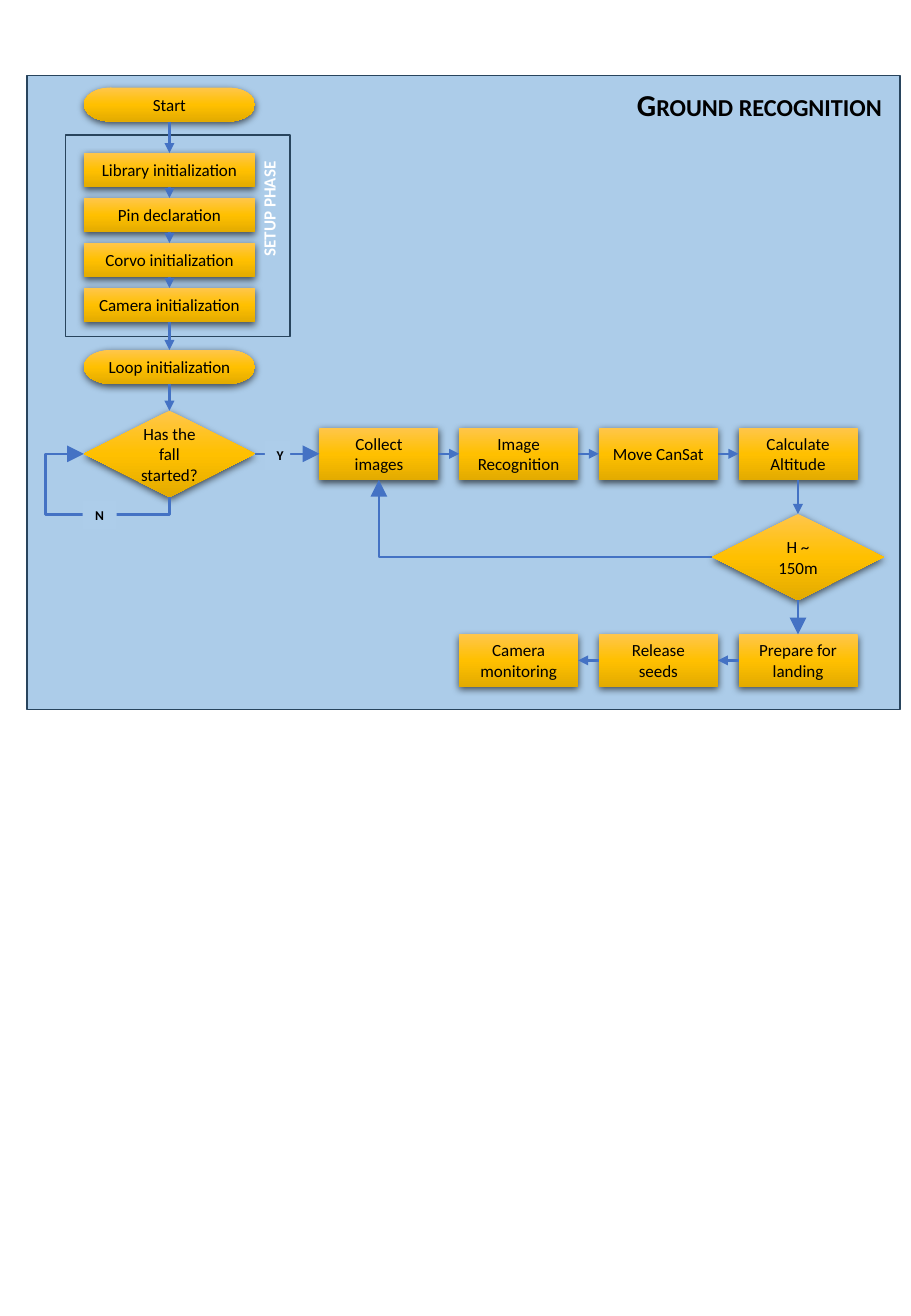
from itertools import pairwise

from lxml.etree import SubElement
from pptx import Presentation
from pptx.dml.color import RGBColor
from pptx.enum.shapes import MSO_CONNECTOR as Link, MSO_SHAPE as Preset
from pptx.enum.text import MSO_ANCHOR as Anchor, MSO_AUTO_SIZE as AutoSize, PP_ALIGN as Align
from pptx.oxml import parse_xml
from pptx.oxml.ns import nsdecls, qn
from pptx.util import Inches, Pt

TOP, LEFT, BOTTOM, RIGHT = range(4)
BLACK, WHITE, FRAME, ARROW, PATCH = "000000", "FFFFFF", "28445D", "4472C4", "ADCDEA"
GOLD = [(0, "FFC64B"), (50, "FFC000"), (100, "E3AB00")]
STEP_W, STEP_H = 1.41, 0.28
CELL_W, CELL_H, PITCH = 0.98, 0.43, 1.15
DECISION_H = 0.71


def color(value):
    return RGBColor.from_string(value)


def add_child(parent, tag, **attributes):
    return SubElement(parent, qn(tag), {name: str(value) for name, value in attributes.items()})


def write(shape, lines, size=10.1, ink=BLACK, bold=False, align=Align.CENTER):
    frame = shape.text_frame
    frame.word_wrap = True
    frame.text = lines
    for para in frame.paragraphs:
        para.alignment = align
        font = para.font
        font.name, font.size, font.bold = "Calibri", Pt(size), bold
        font.color.rgb = color(ink)
    return frame


def add_block(page, preset, box, fill=None, line=None):
    shape = page.shapes.add_shape(preset, *map(Inches, box))
    shape.shadow.inherit = False
    if fill:
        shape.fill.solid()
        shape.fill.fore_color.rgb = color(fill)
    else:
        shape.fill.background()
    if line:
        shape.line.color.rgb = color(line)
        shape.line.width = Pt(1)
    else:
        shape.line.fill.background()
    return shape


def add_node(page, preset, box, lines):
    """Golden flowchart symbol with gradient and soft shadow."""
    node = add_block(page, preset, box)
    props = node._element.spPr
    stops = "".join(
        f'<a:gs pos="{share * 1000}"><a:srgbClr val="{value}"/></a:gs>' for share, value in GOLD
    )
    gradient = parse_xml(
        f'<a:gradFill {nsdecls("a")} rotWithShape="1"><a:gsLst>{stops}</a:gsLst>'
        '<a:lin ang="5400000" scaled="0"/></a:gradFill>'
    )
    props.replace(props.find(qn("a:noFill")), gradient)
    shadow = add_child(props.find(qn("a:effectLst")), "a:outerShdw", blurRad=Pt(4.5),
                       dist=Pt(1.5), dir=5400000, algn="ctr", rotWithShape=0)
    add_child(add_child(shadow, "a:srgbClr", val=BLACK), "a:alpha", val=63000)
    write(node, lines).vertical_anchor = Anchor.MIDDLE
    return node


def connect(page, start, start_side, end, end_side, kind=Link.STRAIGHT, head="med"):
    arrow = page.shapes.add_connector(kind, 0, 0, 0, 0)
    arrow.begin_connect(start, start_side)
    arrow.end_connect(end, end_side)
    arrow.line.color.rgb = color(ARROW)
    arrow.line.width = Pt(1.5)
    props = arrow._element.spPr
    add_child(props.find(qn("a:ln")), "a:tailEnd", type="triangle", w=head, len=head)
    add_child(props, "a:effectLst")
    return arrow


def bend(arrow, preset, *shares):
    """Choose the elbow type and its turning points."""
    geometry = arrow._element.spPr.find(qn("a:prstGeom"))
    geometry.set("prst", preset)
    guides = geometry.get_or_add_avLst()
    for index, share in enumerate(shares, 1):
        add_child(guides, "a:gd", name=f"adj{index}", fmla=f"val {round(share * 100000)}")


def add_answer(page, box, letter):
    patch = add_block(page, Preset.RECTANGLE, box, PATCH)
    frame = write(patch, letter, size=8, bold=True)
    frame.vertical_anchor = Anchor.TOP
    frame.auto_size = AutoSize.SHAPE_TO_FIT_TEXT


def add_panel(page, box):
    left, top, width, height = box
    panel = add_block(page, Preset.RECTANGLE, box, "5B9BD5", FRAME)
    tint = panel._element.spPr.find(qn("a:solidFill"))[0]
    add_child(tint, "a:alpha", val=50000)
    title = page.shapes.add_textbox(*map(Inches, (left + width - 3.18, top + 0.04, 3.13, 0.4)))
    frame = write(title, "Ground recognition", size=18, bold=True, align=Align.RIGHT)
    frame.paragraphs[0].runs[0]._r.get_or_add_rPr().set("cap", "small")


def add_setup(page, box):
    """Start, setup phase and waiting loop; returns the fall decision."""
    left, top, width, height = box
    add_block(page, Preset.FLOWCHART_PROCESS, (left - 0.15, top + 0.39, 1.85, 1.66), line=FRAME)
    phases = ["Library initialization", "Pin declaration", "Corvo initialization",
              "Camera initialization"]
    process, ends = Preset.FLOWCHART_PROCESS, Preset.FLOWCHART_TERMINATOR
    steps = [(ends, 0, "Start")]
    steps += [(process, 0.54 + 0.37 * row, name) for row, name in enumerate(phases)]
    steps += [(ends, 2.16, "Loop initialization")]
    nodes = [add_node(page, preset, (left, top + drop, width, STEP_H), name)
             for preset, drop, name in steps]
    nodes.append(add_node(page, Preset.FLOWCHART_DECISION,
                          (left, top + height - DECISION_H, width, DECISION_H),
                          "Has the fall started?"))
    for upper, lower in pairwise(nodes):
        connect(page, upper, BOTTOM, lower, TOP)

    # Vertical phase name
    label = page.shapes.add_textbox(*map(Inches, (left + 1.39, top + 0.51, 0.37, 1.23)))
    frame = write(label, "SETUP PHASE", ink=WHITE, bold=True, align=Align.RIGHT)
    frame._txBody.bodyPr.set("vert", "vert270")

    # "No" loop, from the bottom of the decision back to its left corner
    fall = nodes[-1]
    loop = connect(page, fall, BOTTOM, fall, LEFT, Link.ELBOW, "lg")
    bend(loop, "bentConnector4", -0.4, 1.45)
    half_w, half_h = fall.width // 2, fall.height // 2
    loop.width, loop.height = half_h, half_w
    loop.left = fall.left + (half_w - half_h) // 2
    loop.top = fall.top + half_h + (half_h - half_w) // 2
    frame_xml = loop._element.spPr.find(qn("a:xfrm"))
    for name, value in (("rot", "5400000"), ("flipH", "1"), ("flipV", "0")):
        frame_xml.set(name, value)
    add_answer(page, (left - 0.01, top + height + 0.03, 0.28, 0.24), "N")
    return fall


def add_descent(page, box, fall):
    """Image loop in the upper row, landing in the lower one."""
    left, top, width, height = box

    def add_row(row_top, first_column, names):
        return [add_node(page, Preset.FLOWCHART_PROCESS,
                         (left + PITCH * column, row_top, CELL_W, CELL_H), name)
                for column, name in enumerate(names, first_column)]

    upper = add_row(top, 0, ["Collect images", "Image Recognition", "Move CanSat",
                             "Calculate Altitude"])
    lower = add_row(top + height - CELL_H, 1, ["Camera\nmonitoring", "Release seeds",
                                               "Prepare for landing"])
    middle = left + width - CELL_W / 2
    altitude = add_node(page, Preset.FLOWCHART_DECISION,
                        (middle - STEP_W / 2, top + (height - DECISION_H) / 2, STEP_W, DECISION_H),
                        "H ~ 150m")
    for before, after in pairwise(upper):
        connect(page, before, RIGHT, after, LEFT)
    for after, before in pairwise(lower):
        connect(page, before, LEFT, after, RIGHT)
    connect(page, upper[-1], BOTTOM, altitude, TOP)
    connect(page, altitude, BOTTOM, lower[-1], TOP, head="lg")
    bend(connect(page, altitude, LEFT, upper[0], BOTTOM, Link.ELBOW, "lg"), "bentConnector2")
    connect(page, fall, RIGHT, upper[0], LEFT, head="lg")
    add_answer(page, (left - 0.45, top + 0.11, 0.21, 0.24), "Y")


def main():
    deck = Presentation()
    deck.slide_width, deck.slide_height = Inches(7.5), Inches(10.83)
    page = deck.slides.add_slide(deck.slide_layouts[6])
    add_panel(page, (0.22, 0.62, 7.19, 5.22))
    fall = add_setup(page, (0.69, 0.72, STEP_W, 3.37))
    add_descent(page, (2.63, 3.52, 3 * PITCH + CELL_W, 2.13), fall)
    deck.save("out.pptx")


if __name__ == "__main__":
    main()
